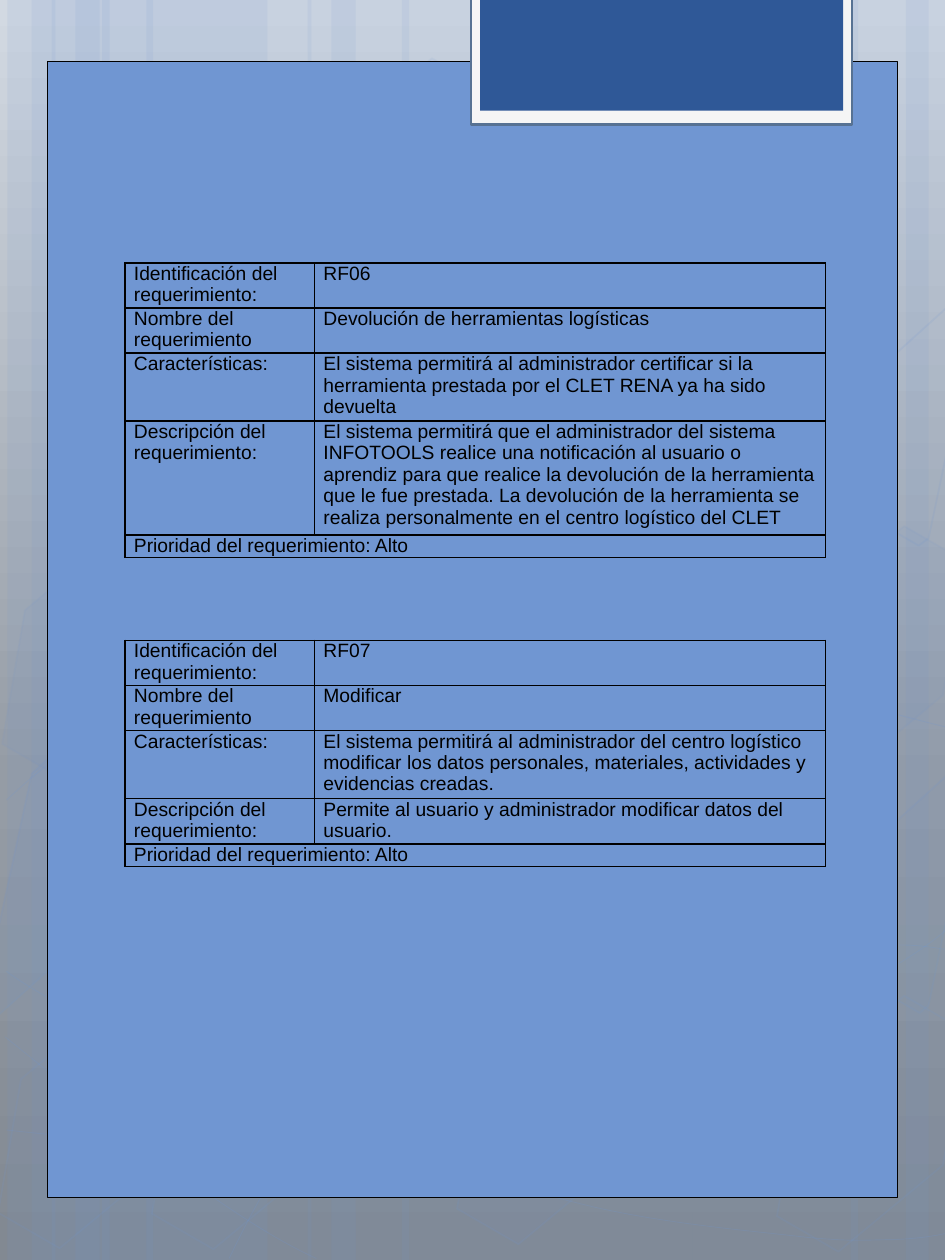
from dataclasses import dataclass
from typing import Optional

from lxml.etree import SubElement
from pptx import Presentation
from pptx.dml.color import RGBColor
from pptx.enum.shapes import MSO_SHAPE
from pptx.oxml.ns import qn
from pptx.util import Cm, Pt

COLORS = {
    "accent": "7096D2",
    "frame": "F5F5F5",
    "frame_line": "577293",
    "tab": "2F5897",
    "ink": "000000",
}
BACKGROUND_STOPS = [(0, "D2D9E2"), (62, "959CA5"), (100, "828992")]
SLIDE_WIDTH, SLIDE_HEIGHT = 19.05, 25.4

Point = tuple[float, float]


@dataclass
class Style:
    fill: Optional[str] = None
    fill_alpha: int = 100
    line: Optional[str] = None
    line_width: float = 1
    line_alpha: int = 100


@dataclass
class Box:
    left: float
    top: float
    width: float
    height: float
    style: Style


@dataclass
class Hexagon:
    left: float
    top: float
    fill_alpha: int
    line_alpha: int = 12


@dataclass
class Requirement:
    top: float
    row_heights: list[float]
    values: list[str]


BANDS = [
    (2.06, 3.33), (0.15, 0.97), (0.64, 1.57), (2.95, 3.33), (1.04, 0.97), (1.52, 1.57),
    (13.97, 3.33), (18.26, 0.97), (17.15, 1.57), (8.1, 5.87), (6.2, 0.97), (6.68, 1.57),
]
CURVES = [
    [(0.13, 22.78), (1.17, 22.89), (2.18, 23.01), (3.63, 22.96), (5.05, 22.91),
     (6.81, 22.86), (8.71, 22.53), (10.64, 22.17), (13.34, 21.54), (15.09, 20.9),
     (16.81, 20.24), (18.62, 19.23), (19.18, 18.64)],
    [(0.13, 16.13), (0.69, 15.62), (1.24, 15.11), (2.31, 14.61), (3.4, 14.1),
     (4.93, 13.36), (6.63, 13.11), (8.31, 12.85), (10.36, 12.85), (12.45, 13.11),
     (14.55, 13.36), (18.03, 14.43), (19.18, 14.68)],
    [(0.1, 20.9), (2.41, 22.76), (4.7, 24.61), (6.38, 25.37)],
    [(0.13, 19.58), (0.61, 19.94), (1.32, 20.32), (2.44, 20.85), (3.56, 21.39),
     (5.21, 22.2), (6.78, 22.78), (8.38, 23.37), (10.39, 23.95), (11.96, 24.33),
     (13.54, 24.69), (15.24, 24.82), (16.23, 24.94), (17.25, 25.04), (17.5, 24.99),
     (18.01, 24.99), (18.49, 24.97), (18.85, 24.92), (19.18, 24.84)],
    [(4.62, 25.37), (4.95, 24.69), (5.28, 24.03), (5.74, 23.39), (6.22, 22.78),
     (6.86, 22.1), (7.39, 21.64), (7.92, 21.18), (8.26, 20.98), (8.94, 20.62),
     (9.65, 20.29), (10.92, 19.81), (11.58, 19.58), (12.27, 19.35), (12.37, 19.35),
     (12.95, 19.25), (13.54, 19.18), (14.48, 19.08), (15.14, 19.05), (15.77, 19),
     (16.89, 19.05), (16.89, 19.05), (16.89, 19.05), (18.14, 19.05), (18.14, 19.05),
     (18.49, 19.05), (18.82, 19.1), (19, 19.13), (19.15, 19.15), (19.15, 19.15),
     (19.15, 19.18)],
]
HEXAGONS = [
    Hexagon(6.38, 1.19, 4, 8), Hexagon(9.45, 19.94, 6), Hexagon(0.2, 20.02, 0),
    Hexagon(0.28, 10.57, 7, 8), Hexagon(1.78, 15.29, 0), Hexagon(3.3, 20.04, 0),
    Hexagon(1.83, 5.79, 0), Hexagon(14.35, 15.34, 10), Hexagon(15.9, 20.09, 0),
    Hexagon(15.9, 10.62, 7, 8),
]
CUT_HEXAGONS = [
    (10, [(0.64, 15.6), (0.94, 15.32), (2.39, 16.15), (1.83, 18.8), (-0.18, 20.6),
          (-0.41, 20.47)]),
    (4, [(17.65, 16.94), (19.63, 15.14), (19.76, 15.21), (18.72, 20.27),
         (18.54, 20.42), (17.07, 19.58)]),
    (0, [(17.63, 7.52), (19.63, 5.71), (19.79, 5.79), (18.72, 10.85), (18.52, 11),
         (17.07, 10.16)]),
]
PANELS = [
    Box(0.95, 1.24, 17.15, 22.91, Style("accent", line="ink", line_width=0.5)),
    Box(9.5, -0.08, 7.67, 2.59, Style("frame", line="frame_line", line_width=1.25)),
    Box(9.68, -0.08, 7.32, 2.31, Style("tab")),
]
LABELS = [
    "Identificación del requerimiento:",
    "Nombre del requerimiento",
    "Características:",
    "Descripción del requerimiento:",
    "Prioridad del requerimiento: Alto",
]
COLUMN_WIDTHS = [3.82, 10.3]
REQUIREMENTS = [
    Requirement(5.3, [0.91, 0.91, 1.37, 2.29, 0.46], [
        "RF06",
        "Devolución de herramientas logísticas",
        "El sistema permitirá al administrador certificar si la herramienta prestada "
        "por el CLET RENA ya ha sido devuelta",
        "El sistema permitirá que el administrador del sistema INFOTOOLS realice una "
        "notificación al usuario o aprendiz para que realice la devolución de la "
        "herramienta que le fue prestada. La devolución de la herramienta se realiza "
        "personalmente en el centro logístico del CLET",
    ]),
    Requirement(12.91, [0.91, 0.91, 1.37, 0.91, 0.46], [
        "RF07",
        "Modificar",
        "El sistema permitirá al administrador del centro logístico modificar los datos "
        "personales, materiales, actividades y evidencias creadas.",
        "Permite al usuario y administrador modificar datos del usuario.",
    ]),
]


def apply_style(shape, style: Style) -> None:
    shape.shadow.inherit = False
    paints = [
        (shape.fill, style.fill, style.fill_alpha, "a:solidFill"),
        (shape.line.fill, style.line, style.line_alpha, "a:ln/a:solidFill"),
    ]
    for fill, color, alpha, location in paints:
        if color is None or alpha == 0:
            fill.background()
            continue
        fill.solid()
        fill.fore_color.rgb = RGBColor.from_string(COLORS[color])
        if alpha < 100:
            steps = "/".join(qn(tag) for tag in f"{location}/a:srgbClr".split("/"))
            color_element = shape.element.spPr.find(steps)
            SubElement(color_element, qn("a:alpha"), val=str(alpha * 1000))
    if style.line:
        shape.line.width = Pt(style.line_width)


def paint_background(slide) -> None:
    fill = slide.background.fill
    fill.gradient()
    fill.gradient_angle = 270
    stops = next(slide.element.iter(qn("a:gsLst")))
    for stop in list(stops):
        stops.remove(stop)
    for position, color in BACKGROUND_STOPS:
        stop = SubElement(stops, qn("a:gs"), pos=str(position * 1000))
        SubElement(stop, qn("a:srgbClr"), val=color)


def draw_box(slide, box: Box, kind=MSO_SHAPE.RECTANGLE):
    shape = slide.shapes.add_shape(
        kind, Cm(box.left), Cm(box.top), Cm(box.width), Cm(box.height))
    apply_style(shape, box.style)
    return shape


def draw_hexagon(slide, hexagon: Hexagon) -> None:
    style = Style("accent", hexagon.fill_alpha, "accent", 1, hexagon.line_alpha)
    shape = draw_box(
        slide, Box(hexagon.left, hexagon.top, 3.33, 5.13, style), MSO_SHAPE.HEXAGON)
    shape.adjustments[0] = 0.285
    shape.rotation = 30


def draw_outline(slide, points: list[Point], closed: bool, style: Style):
    scaled = [(Cm(x), Cm(y)) for x, y in points]
    builder = slide.shapes.build_freeform(*scaled[0])
    builder.add_line_segments(scaled[1:], close=closed)
    shape = builder.convert_to_shape()
    apply_style(shape, style)
    return shape


def draw_curve(slide, controls: list[Point]) -> None:
    style = Style(line="accent", line_width=0.5, line_alpha=20)
    shape = draw_outline(slide, controls, False, style)
    outline = next(shape.element.iter(qn("a:path")))
    segments = outline.findall(qn("a:lnTo"))
    for start in range(0, len(segments), 3):
        bezier = SubElement(outline, qn("a:cubicBezTo"))
        for segment in segments[start:start + 3]:
            bezier.append(segment[0])
            outline.remove(segment)


def format_cell(cell, text: str) -> None:
    cell.text_frame.text = text
    cell.margin_left = cell.margin_right = Cm(0.18)
    cell.margin_top = cell.margin_bottom = Cm(0)
    for run in cell.text_frame.paragraphs[0].runs:
        run.font.name = "Arial"
        run.font.size = Pt(11)
        run.font.bold = False
        run.font.color.rgb = RGBColor.from_string(COLORS["ink"])
    properties = cell._tc.get_or_add_tcPr()
    for side in ("a:lnL", "a:lnR", "a:lnT", "a:lnB"):
        border = SubElement(properties, qn(side), w=str(Pt(1)))
        SubElement(SubElement(border, qn("a:solidFill")), qn("a:srgbClr"), val=COLORS["ink"])
    cell.fill.background()


def draw_requirement(slide, requirement: Requirement) -> None:
    heights = requirement.row_heights
    table = slide.shapes.add_table(
        len(heights), len(COLUMN_WIDTHS), Cm(2.52), Cm(requirement.top),
        Cm(sum(COLUMN_WIDTHS)), Cm(sum(heights))).table
    table.first_row = table.horz_banding = False
    for column, width in zip(table.columns, COLUMN_WIDTHS):
        column.width = Cm(width)
    for row, height, label, value in zip(
            table.rows, heights, LABELS, requirement.values + [""]):
        row.height = Cm(height)
        for cell, text in zip(row.cells, (label, value)):
            format_cell(cell, text)
    last = len(heights) - 1
    table.cell(last, 0).merge(table.cell(last, 1))


def main() -> None:
    presentation = Presentation()
    presentation.slide_width, presentation.slide_height = Cm(SLIDE_WIDTH), Cm(SLIDE_HEIGHT)
    slide = presentation.slides.add_slide(presentation.slide_layouts[6])
    paint_background(slide)
    for left, width in BANDS:
        draw_box(slide, Box(left, 0, width, SLIDE_HEIGHT, Style("accent", 10)))
    for controls in CURVES:
        draw_curve(slide, controls)
    for hexagon in HEXAGONS:
        draw_hexagon(slide, hexagon)
    for fill_alpha, corners in CUT_HEXAGONS:
        draw_outline(slide, corners, True, Style("accent", fill_alpha, "accent", 1, 12))
    for panel in PANELS:
        draw_box(slide, panel)
    for requirement in REQUIREMENTS:
        draw_requirement(slide, requirement)
    presentation.save("out.pptx")


if __name__ == "__main__":
    main()
